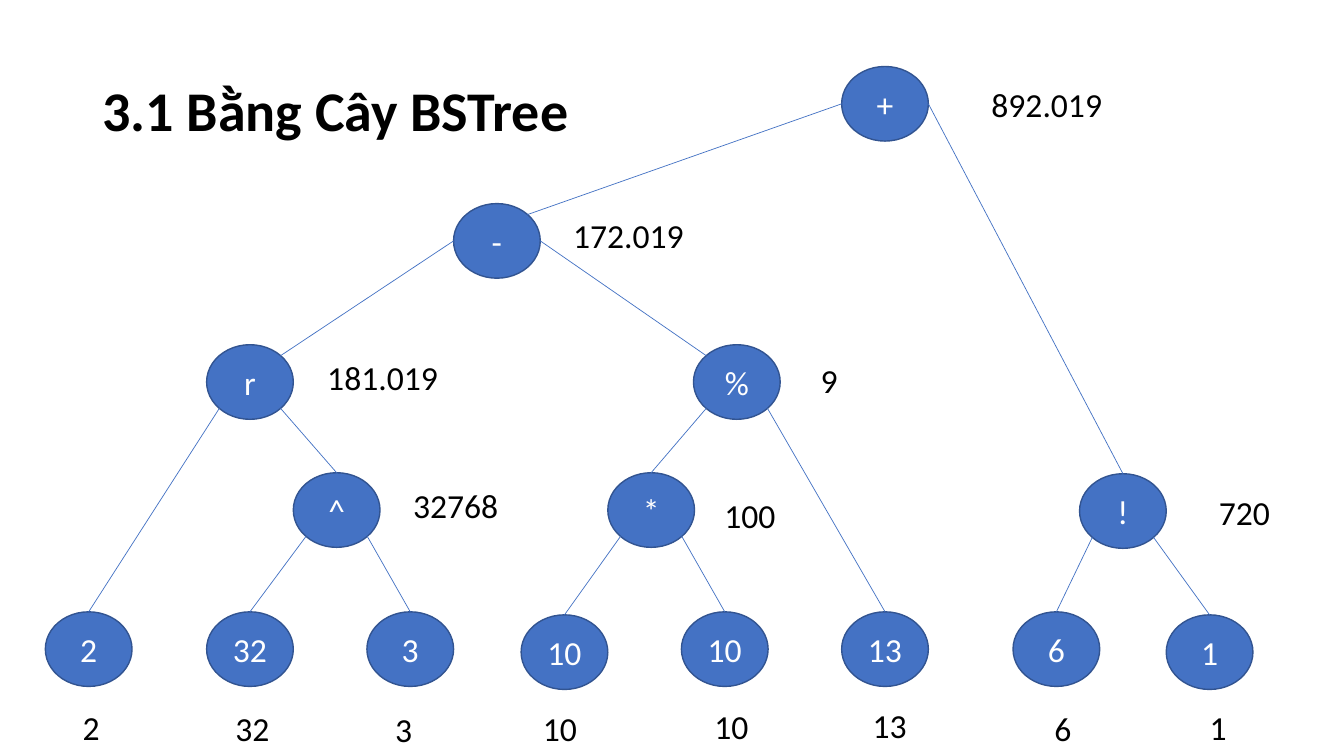
from dataclasses import dataclass
from math import sqrt
from typing import Any

from lxml.etree import SubElement
from pptx import Presentation
from pptx.dml.color import RGBColor
from pptx.enum.shapes import MSO_CONNECTOR, MSO_SHAPE
from pptx.enum.text import MSO_ANCHOR, PP_ALIGN
from pptx.oxml.ns import qn
from pptx.util import Inches, Pt

COLUMNS, ROWS = 133.33, 75
NODE_WIDTH, NODE_HEIGHT = 8.6, 7.4
VALUE_HEIGHT = 5
DIAGONAL = 1 / sqrt(2)
SITES = {
    "top": (0, -1),
    "left": (-1, 0),
    "right": (1, 0),
    "top left": (-DIAGONAL, -DIAGONAL),
    "top right": (DIAGONAL, -DIAGONAL),
    "bottom left": (-DIAGONAL, DIAGONAL),
    "bottom right": (DIAGONAL, DIAGONAL),
}

NODES = {
    "base": ("2", 8.8, 64.4),
    "power base": ("32", 24.8, 64.4),
    "exponent": ("3", 40.7, 64.4),
    "first factor": ("10", 56, 64.7),
    "second factor": ("10", 71.9, 64.4),
    "divisor": ("13", 87.8, 64.4),
    "six": ("6", 104.8, 64.4),
    "one": ("1", 120, 64.7),
    "power": ("^", 33.4, 50.6),
    "root": ("r", 24.8, 37.9),
    "product": ("*", 64.6, 50.6),
    "modulo": ("%", 73.1, 37.9),
    "minus": ("-", 49.3, 23.9),
    "factorial": ("!", 111.4, 50.7),
    "plus": ("+", 87.8, 10.3),
}

EDGES = [
    ("plus", "left", "minus", "top right"),
    ("minus", "left", "root", "top right"),
    ("minus", "right", "modulo", "top left"),
    ("root", "bottom right", "power", "top"),
    ("root", "bottom left", "base", "top"),
    ("power", "bottom left", "power base", "top"),
    ("power", "bottom right", "exponent", "top"),
    ("modulo", "bottom left", "product", "top"),
    ("modulo", "bottom right", "divisor", "top"),
    ("product", "bottom left", "first factor", "top"),
    ("product", "bottom right", "second factor", "top"),
    ("plus", "right", "factorial", "top"),
    ("factorial", "bottom left", "six", "top"),
    ("factorial", "bottom right", "one", "top"),
]

VALUES = [
    ("32", 21.4, 69.7, 7.3),
    ("10", 51.9, 69.7, 7.3),
    ("3", 36.4, 69.8, 7.3),
    ("13", 84.6, 69.4, 7.3),
    ("10", 68.9, 69.5, 7.3),
    ("1", 117.2, 69.6, 7.3),
    ("6", 101.8, 69.7, 7.3),
    ("2", 5.4, 69.6, 7.3),
    ("32768", 39.2, 47.6, 12),
    ("181.019", 30.4, 34.9, 15.1),
    ("100", 68.8, 48.6, 11.2),
    ("9", 78.5, 35.2, 7.5),
    ("172.019", 54.8, 20.8, 15.1),
    ("720", 115.9, 48.3, 15.1),
    ("892.019", 95.3, 7.8, 17.1),
]


def color(code):
    """Turn a hex string into a colour."""
    return RGBColor.from_string(code)


@dataclass
class TreeSlide:
    """Hold the style and the slide on which the expression tree is drawn."""

    deck: Any
    slide: Any
    font: str = "Calibri"
    node_fill: str = "4472C4"
    node_line: str = "325491"
    node_text: str = "FFFFFF"
    ink: str = "000000"
    text_size: int = 24
    title_size: int = 40

    def box(self, left, top, width, height):
        """Convert grid columns and rows to slide lengths."""
        column = self.deck.slide_width / COLUMNS
        row = self.deck.slide_height / ROWS
        return (round(left * column), round(top * row),
                round(width * column), round(height * row))

    def label(self, holder, text, size, ink, align, anchor, bold=False):
        """Put one styled paragraph into a shape or text box."""
        frame = holder.text_frame
        frame.word_wrap = True
        frame.vertical_anchor = anchor
        frame.text = text
        paragraph = frame.paragraphs[0]
        paragraph.alignment = align
        for run in paragraph.runs:
            run.font.name = self.font
            run.font.size = Pt(size)
            run.font.bold = bold
            run.font.color.rgb = color(ink)
        return paragraph

    def node(self, symbol, center_x, center_y):
        """Draw an ellipse with its symbol around a centre."""
        ellipse = self.slide.shapes.add_shape(
            MSO_SHAPE.OVAL,
            *self.box(center_x - NODE_WIDTH / 2, center_y - NODE_HEIGHT / 2,
                      NODE_WIDTH, NODE_HEIGHT))
        ellipse.shadow.inherit = False
        ellipse.fill.solid()
        ellipse.fill.fore_color.rgb = color(self.node_fill)
        ellipse.line.color.rgb = color(self.node_line)
        ellipse.line.width = Pt(1)
        self.label(ellipse, symbol, self.text_size, self.node_text,
                   PP_ALIGN.CENTER, MSO_ANCHOR.MIDDLE)

    def site(self, name, side):
        """Find a point on the outline of a node."""
        symbol, center_x, center_y = NODES[name]
        across, down = SITES[side]
        return self.box(center_x + across * NODE_WIDTH / 2,
                        center_y + down * NODE_HEIGHT / 2, 0, 0)[:2]

    def edge(self, parent, parent_side, child, child_side):
        """Draw a line from a parent to a child."""
        branch = self.slide.shapes.add_connector(
            MSO_CONNECTOR.STRAIGHT,
            *self.site(parent, parent_side), *self.site(child, child_side))
        branch.line.color.rgb = color(self.node_fill)
        branch.line.width = Pt(0.5)
        SubElement(branch.element.spPr, qn("a:effectLst"))

    def value(self, text, left, top, width):
        """Show the value of a subtree."""
        result = self.slide.shapes.add_textbox(
            *self.box(left, top, width, VALUE_HEIGHT))
        self.label(result, text, self.text_size, self.ink,
                   PP_ALIGN.CENTER, MSO_ANCHOR.TOP)

    def title(self, text):
        """Show the heading of the slide."""
        heading = self.slide.shapes.add_textbox(*self.box(9.2, 4, 115, 14.5))
        paragraph = self.label(heading, text, self.title_size, self.ink,
                               PP_ALIGN.LEFT, MSO_ANCHOR.MIDDLE, bold=True)
        paragraph.line_spacing = 0.9


def main():
    """Build the slide and save it."""
    deck = Presentation()
    deck.slide_width, deck.slide_height = Inches(13.33), Inches(7.5)
    tree = TreeSlide(deck, deck.slides.add_slide(deck.slide_layouts[6]))
    for node in NODES.values():
        tree.node(*node)
    for edge in EDGES:
        tree.edge(*edge)
    for value in VALUES:
        tree.value(*value)
    tree.title("3.1 Bằng Cây BSTree")
    deck.save("out.pptx")


if __name__ == "__main__":
    main()
